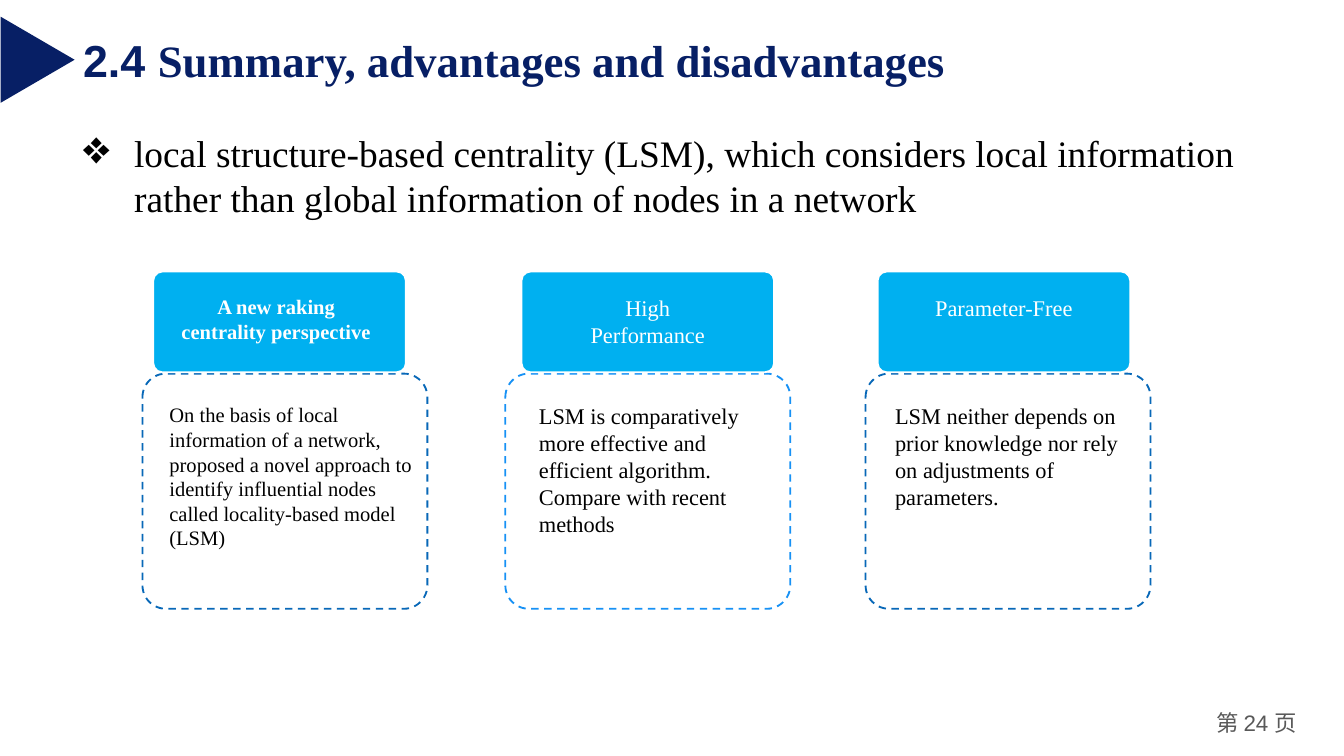
from lxml import etree
from pptx import Presentation
from pptx import util as u
from pptx.dml.color import RGBColor
from pptx.enum import dml, shapes, text
from pptx.oxml import ns

WIDTH = u.Inches(10)
HEIGHT = WIDTH * 9 // 16
NAVY = RGBColor(0x07, 0x1F, 0x65)
SKY = RGBColor(0x00, 0xB0, 0xF0)
BLUE = RGBColor(0x08, 0x68, 0xB8)
BRIGHT_BLUE = RGBColor(0x17, 0x91, 0xF5)
GREY = RGBColor(0x59, 0x59, 0x59)
BLACK = RGBColor(0, 0, 0)
WHITE = RGBColor(255, 255, 255)
SERIF, SANS, CJK = "Times New Roman", "Arial", "Noto Sans CJK SC"
CENTER = text.PP_ALIGN.CENTER
FIT = text.MSO_AUTO_SIZE.SHAPE_TO_FIT_TEXT

CARD_TOP, CARD_WIDTH, CARD_HEIGHT = 49.42, 21.2, 31.11
HEAD_TOP, HEAD_WIDTH, HEAD_HEIGHT = 35.91, 18.8, 13.33
HEADING_TOP, BODY_TOP = 38.04, 53.2

ADVANTAGES = [
    dict(card=10.6, head=11.4, outline=BLUE, size=11, bold=True,
         heading=("A new raking centrality perspective", 12, 17.1, 8.36),
         body=("On the basis of local information of a network, proposed a "
               "novel approach to identify influential nodes called "
               "locality-based model (LSM)", 12.6, 19.2, 19.73)),
    dict(card=37.6, head=38.8, outline=BRIGHT_BLUE, size=12, bold=False,
         heading=("High Performance", 41.7, 13, 8.89),
         body=("LSM is comparatively more effective and efficient algorithm. "
               "Compare with recent methods", 40.1, 17.2, 17.96)),
    dict(card=64.4, head=65.3, outline=BLUE, size=12, bold=False,
         heading=("Parameter-Free", 68, 13.4, 5.33),
         body=("LSM neither depends on prior knowledge nor rely on "
               "adjustments of parameters.", 66.6, 17.5, 14.4)),
]


def percent(left, top, width, height):
    return [round(WIDTH * left / 100), round(HEIGHT * top / 100),
            round(WIDTH * width / 100), round(HEIGHT * height / 100)]


def apply(target, values):
    for name, value in values.items():
        setattr(target, name, value)


def add_text(slide, place, runs, size, color, bold=False, align=None,
             margins=(0.1, 0.05), wrap=True, fit=FIT, bullet=None):
    frame = slide.shapes.add_textbox(*percent(*place)).text_frame
    across, down = (u.Inches(margin) for margin in margins)
    apply(frame, dict(word_wrap=wrap, auto_size=fit,
                      margin_left=across, margin_right=across,
                      margin_top=down, margin_bottom=down))
    paragraph = frame.paragraphs[0]
    if bullet:
        add_bullet(paragraph, bullet, u.Inches(0.38))
    if align:
        paragraph.alignment = align
    for words, face in runs:
        run = paragraph.add_run()
        run.text = words
        apply(run.font, dict(name=face, size=u.Pt(size), bold=bold))
        run.font.color.rgb = color
        east_asian = etree.SubElement(run.font._element, ns.qn("a:ea"))
        east_asian.set("typeface", face)


def add_bullet(paragraph, symbol, indent):
    properties = paragraph._p.get_or_add_pPr()
    properties.set("marL", str(indent))
    properties.set("indent", str(-indent))
    etree.SubElement(properties, ns.qn("a:buSzPct")).set("val", "125000")
    etree.SubElement(properties, ns.qn("a:buChar")).set("char", symbol)


def add_panel(slide, kind, place, fill, line=None, dash=None, corner=None):
    panel = slide.shapes.add_shape(kind, *percent(*place))
    panel.shadow.inherit = False
    panel.fill.solid()
    panel.fill.fore_color.rgb = fill
    if line is None:
        panel.line.fill.background()
    else:
        panel.line.color.rgb = line
        apply(panel.line, dict(width=u.Pt(1), dash_style=dash))
    if corner:
        panel.adjustments[0] = corner
    return panel


def set_opacity(shape, share):
    color = shape._element.spPr.find(ns.qn("a:solidFill"))[0]
    etree.SubElement(color, ns.qn("a:alpha")).set("val", str(share * 1000))


def add_advantage(slide, advantage):
    rounded = shapes.MSO_SHAPE.ROUNDED_RECTANGLE
    card = add_panel(slide, rounded,
                     (advantage["card"], CARD_TOP, CARD_WIDTH, CARD_HEIGHT),
                     WHITE, advantage["outline"], dml.MSO_LINE.DASH, 0.1)
    set_opacity(card, 90)
    add_panel(slide, rounded,
              (advantage["head"], HEAD_TOP, HEAD_WIDTH, HEAD_HEIGHT),
              SKY, WHITE, corner=0.09)
    words, left, width, height = advantage["heading"]
    add_text(slide, (left, HEADING_TOP, width, height), [(words, SERIF)],
             advantage["size"], WHITE, advantage["bold"], CENTER)
    words, left, width, height = advantage["body"]
    add_text(slide, (left, BODY_TOP, width, height), [(words, SERIF)],
             advantage["size"], BLACK, margins=(0, 0))


def main():
    deck = Presentation()
    apply(deck, dict(slide_width=WIDTH, slide_height=HEIGHT))
    slide = deck.slides.add_slide(deck.slide_layouts[6])
    add_text(slide, (89, 93.16, 9, 5.33),
             [("第 ", CJK), ("24 ", SANS), ("页", CJK)], 12, GREY,
             align=CENTER, margins=(0.07, 0.04), fit=text.MSO_AUTO_SIZE.NONE)
    add_text(slide, (5.2, 3.4, 67.9, 8.89),
             [("2.4 ", SANS),
              ("Summary, advantages and disadvantages", SERIF)],
             24, NAVY, bold=True, wrap=False)
    marker = add_panel(slide, shapes.MSO_SHAPE.ISOSCELES_TRIANGLE,
                       (-0.4, 3.02, 6.4, 9.78), NAVY)
    marker.rotation = 90
    add_text(slide, (5.2, 16.36, 89, 13.69),
             [("local structure-based centrality (LSM), which considers local "
               "information rather than global information of nodes in a "
               "network", SERIF)], 20, BLACK, bullet="❖")
    for advantage in ADVANTAGES:
        add_advantage(slide, advantage)
    deck.save("out.pptx")


if __name__ == "__main__":
    main()
